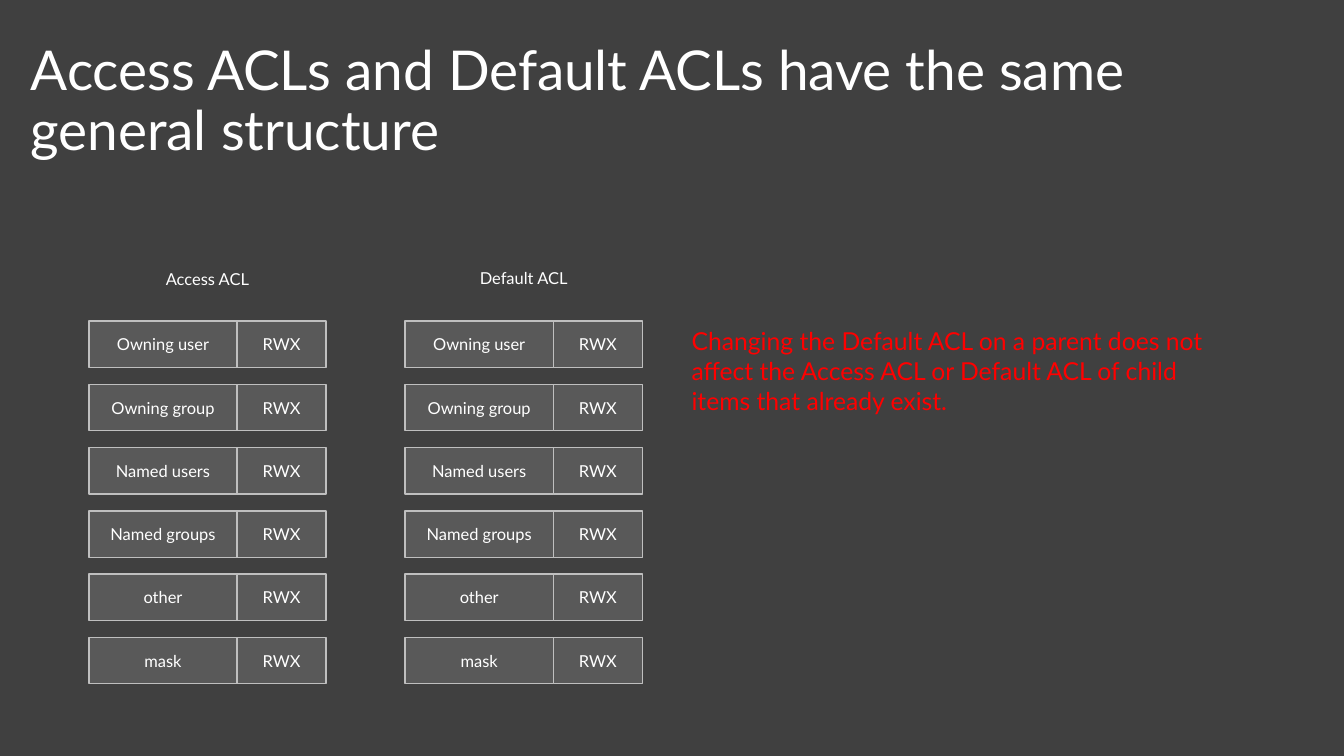
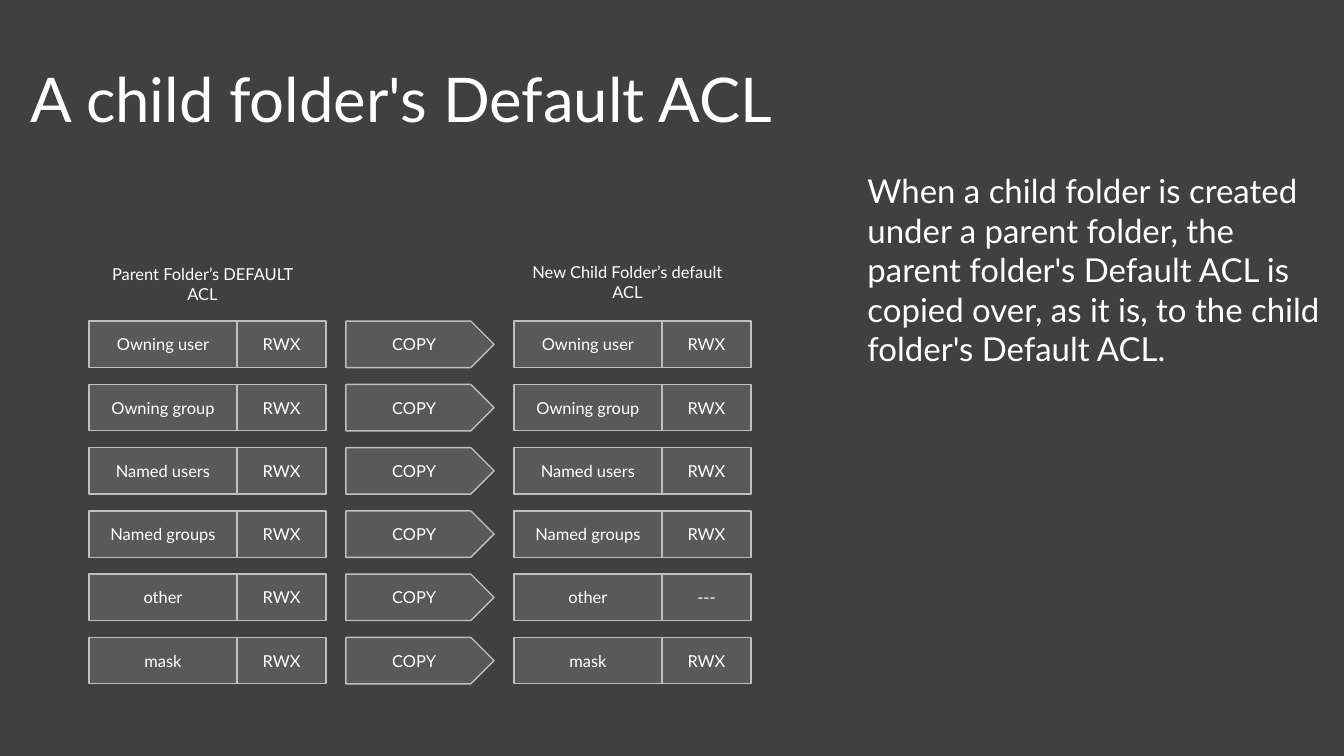
from dataclasses import dataclass
from typing import NamedTuple

from pptx import Presentation
from pptx.dml.color import RGBColor
from pptx.enum.shapes import MSO_SHAPE
from pptx.enum.text import MSO_ANCHOR, MSO_AUTO_SIZE, PP_ALIGN
from pptx.presentation import Presentation as Deck
from pptx.slide import Slide
from pptx.text.text import TextFrame
from pptx.util import Inches, Pt

RECTANGLE, PENTAGON = MSO_SHAPE.RECTANGLE, MSO_SHAPE.PENTAGON
TOP, MIDDLE = MSO_ANCHOR.TOP, MSO_ANCHOR.MIDDLE
LEFT, CENTER = PP_ALIGN.LEFT, PP_ALIGN.CENTER
NO_FIT, GROW = MSO_AUTO_SIZE.NONE, MSO_AUTO_SIZE.SHAPE_TO_FIT_TEXT


@dataclass(frozen=True)
class Theme:
    font: str = "Lato"
    background: RGBColor = RGBColor(0x40, 0x40, 0x40)
    cell: RGBColor = RGBColor(0x59, 0x59, 0x59)
    border: RGBColor = RGBColor(0xBF, 0xBF, 0xBF)
    text: RGBColor = RGBColor(0xFF, 0xFF, 0xFF)
    warning: RGBColor = RGBColor(0xFF, 0x00, 0x00)
    label_size: float = 12
    warning_size: float = 18
    note_size: float = 24
    long_title_size: float = 40
    title_size: float = 44.9
    border_width: float = 1


class Box(NamedTuple):
    """Left, top, width and height in inches."""
    left: float
    top: float
    width: float
    height: float


class Acl(NamedTuple):
    """One access control list: a heading above rows of entry and permission."""
    heading: str
    left: float
    heading_top: float
    heading_width: float
    permissions: tuple[str, ...]


class Note(NamedTuple):
    text: str
    box: Box
    size: float
    color: RGBColor


class AclSlide(NamedTuple):
    title: str
    title_size: float
    acls: tuple[Acl, ...]
    note: Note
    copy_left: float | None = None


THEME = Theme()
SLIDE_WIDTH, SLIDE_HEIGHT = 13.6, 7.65
TITLE_BOX = Box(0.21, 0.21, 13.18, 1.66)

# Grid of the lists
ENTRIES = ("Owning user", "Owning group", "Named users",
           "Named groups", "other", "mask")
FIRST_ROW, ROW_PITCH, ROW_HEIGHT = 3.25, 0.64, 0.47
ENTRY_WIDTH, PERMISSION_WIDTH = 1.5, 0.9
ACL_WIDTH = ENTRY_WIDTH + PERMISSION_WIDTH
ALL_RWX = ("RWX",) * len(ENTRIES)
OTHER_DENIED = tuple("---" if entry == "other" else "RWX" for entry in ENTRIES)

SLIDES = (
    AclSlide(
        "Access ACLs and Default ACLs have the same general structure",
        THEME.long_title_size,
        (Acl("Access ACL", 0.9, 2.59, ACL_WIDTH, ALL_RWX),
         Acl("Default ACL", 4.1, 2.58, ACL_WIDTH, ALL_RWX)),
        Note("Changing the Default ACL on a parent does not affect the Access "
             "ACL or Default ACL of child items that already exist.",
             Box(6.9, 3.25, 5.5, 1.01), THEME.warning_size, THEME.warning),
    ),
    AclSlide(
        "A child folder's Default ACL",
        THEME.title_size,
        (Acl("Parent Folder’s DEFAULT ACL", 0.9, 2.64, 2.3, ALL_RWX),
         Acl("New Child Folder’s default ACL", 5.2, 2.62, 2.3, OTHER_DENIED)),
        Note("When a child folder is created under a parent folder, the parent "
             "folder's Default ACL is copied over, as it is, to the child "
             "folder's Default ACL.",
             Box(8.68, 1.68, 4.8, 2.12), THEME.note_size, THEME.text),
        copy_left=3.5,
    ),
)


def row_top(row: int) -> float:
    return FIRST_ROW + row * ROW_PITCH


def inches(box: Box) -> tuple[Inches, ...]:
    return tuple(Inches(length) for length in box)


def write(frame: TextFrame, text: str, size: float = THEME.label_size,
          color: RGBColor = THEME.text, align: PP_ALIGN = CENTER,
          anchor: MSO_ANCHOR = MIDDLE, fit: MSO_AUTO_SIZE = NO_FIT) -> None:
    """Fill a frame with one formatted paragraph."""
    frame.text = text
    paragraph = frame.paragraphs[0]
    paragraph.font.color.rgb = color
    run = paragraph.runs[0]
    run.font.color.rgb = color
    formats = {
        frame: {"word_wrap": True, "vertical_anchor": anchor, "auto_size": fit},
        paragraph: {"alignment": align},
        run.font: {"name": THEME.font, "size": Pt(size)},
    }
    for target, values in formats.items():
        for attribute, value in values.items():
            setattr(target, attribute, value)


def add_title(slide: Slide, text: str, size: float) -> None:
    title = slide.shapes.title
    title.left, title.top, title.width, title.height = inches(TITLE_BOX)
    write(title.text_frame, text, size, align=LEFT)
    title.text_frame.margin_right = Inches(0.2)
    title.text_frame.paragraphs[0].line_spacing = 0.9


def add_cell(slide: Slide, text: str, box: Box,
             outline: MSO_SHAPE = RECTANGLE) -> None:
    cell = slide.shapes.add_shape(outline, *inches(box))
    cell.shadow.inherit = False
    cell.fill.solid()
    cell.fill.fore_color.rgb = THEME.cell
    cell.line.color.rgb = THEME.border
    cell.line.width = Pt(THEME.border_width)
    write(cell.text_frame, text)


def add_acl(slide: Slide, acl: Acl) -> None:
    for row, (entry, permission) in enumerate(zip(ENTRIES, acl.permissions)):
        top = row_top(row)
        add_cell(slide, entry, Box(acl.left, top, ENTRY_WIDTH, ROW_HEIGHT))
        add_cell(slide, permission, Box(acl.left + ENTRY_WIDTH, top,
                                        PERMISSION_WIDTH, ROW_HEIGHT))
    heading = slide.shapes.add_textbox(*inches(
        Box(acl.left, acl.heading_top, acl.heading_width, ROW_HEIGHT)))
    write(heading.text_frame, acl.heading)


def add_copy_arrows(slide: Slide, left: float) -> None:
    for row in range(len(ENTRIES)):
        add_cell(slide, "COPY",
                 Box(left, row_top(row), ENTRY_WIDTH, ROW_HEIGHT), PENTAGON)


def add_note(slide: Slide, note: Note) -> None:
    remark = slide.shapes.add_textbox(*inches(note.box))
    write(remark.text_frame, note.text, note.size, note.color, LEFT, TOP, GROW)


def add_acl_slide(deck: Deck, content: AclSlide) -> None:
    title_only = deck.slide_layouts.get_by_name("Title Only")
    slide = deck.slides.add_slide(title_only)
    add_title(slide, content.title, content.title_size)
    add_note(slide, content.note)
    for acl in content.acls:
        add_acl(slide, acl)
    if content.copy_left is not None:
        add_copy_arrows(slide, content.copy_left)


def main() -> None:
    deck = Presentation()
    deck.slide_width = Inches(SLIDE_WIDTH)
    deck.slide_height = Inches(SLIDE_HEIGHT)
    # Shared background
    backdrop = deck.slide_master.background.fill
    backdrop.solid()
    backdrop.fore_color.rgb = THEME.background
    for content in SLIDES:
        add_acl_slide(deck, content)
    deck.save("out.pptx")


if __name__ == "__main__":
    main()
